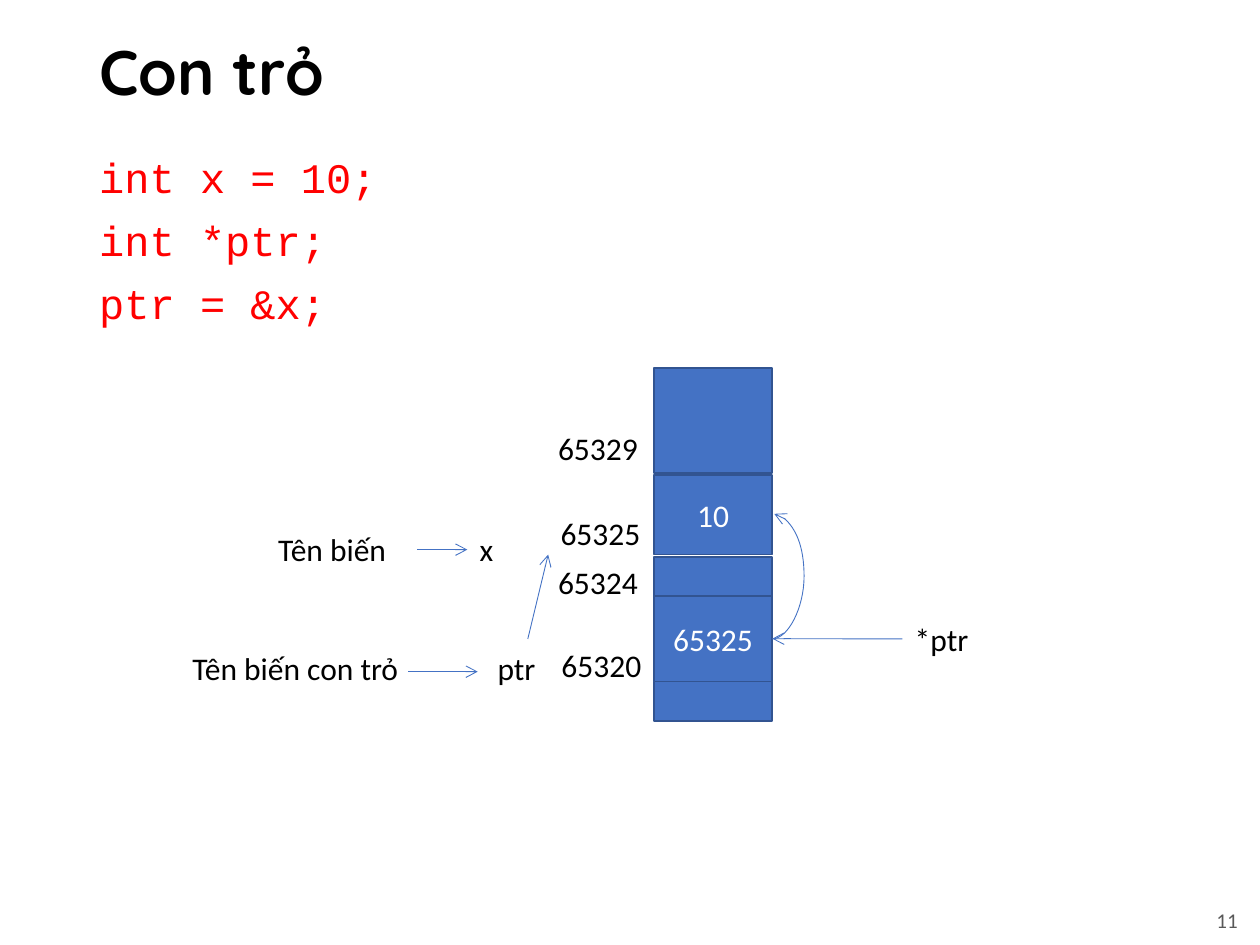
"""Build a slide on how a pointer holds the address of a variable."""
from dataclasses import dataclass

from lxml import etree
from pptx import Presentation
from pptx.dml.color import RGBColor
from pptx.enum import shapes as es, text as et
from pptx.oxml import ns
from pptx.util import Cm, Pt

BLACK = RGBColor(0x00, 0x00, 0x00)
WHITE = RGBColor(0xFF, 0xFF, 0xFF)
RED = RGBColor(0xFF, 0x00, 0x00)
GREY = RGBColor(0x59, 0x59, 0x59)
BLUE = RGBColor(0x44, 0x72, 0xC4)
NAVY = RGBColor(0x32, 0x54, 0x91)
LEFT, MIDDLE = et.PP_ALIGN.LEFT, et.MSO_ANCHOR.MIDDLE
STACK_X, STACK_W = 13.18, 2.39
LABEL_H = 1.02


@dataclass
class Style:
    """Look of a piece of text."""
    size: float = 18
    color: RGBColor = BLACK
    font: str = "Calibri"
    bold: bool = False
    align: et.PP_ALIGN = LEFT
    spacing: float = 1.0
    before: float = 0


@dataclass
class Cell:
    """One block of memory."""
    top: float
    height: float
    value: str = ""


@dataclass
class Label:
    """A short text beside the memory."""
    words: str
    left: float
    top: float
    width: float
    wrap: bool = False


@dataclass
class Arrow:
    """A line with its head at the end point."""
    start: tuple[float, float]
    end: tuple[float, float]
    kind: es.MSO_CONNECTOR = es.MSO_CONNECTOR.STRAIGHT


TITLE = Style(36, font="Quicksand", bold=True, spacing=0.9)
CODE = Style(24, RED, "Courier New", spacing=0.9, before=10)
PAGE = Style(12, GREY, align=et.PP_ALIGN.RIGHT)
VALUE = Style(color=WHITE, align=et.PP_ALIGN.CENTER)
CELLS = [
    Cell(7.42, 2.11),
    Cell(9.58, 1.6, "10"),
    Cell(11.23, 0.79),
    Cell(12.01, 1.73, "65325"),
    Cell(13.74, 0.79),
]
LABELS = [
    Label("65329", 11.0, 8.53, 2.13),
    Label("65325", 11.05, 10.24, 2.13),
    Label("65324", 11.0, 11.23, 2.13),
    Label("65320", 11.07, 12.9, 2.13),
    Label("x", 9.42, 10.57, 0.79),
    Label("Tên biến", 5.36, 10.57, 3.05, True),
    Label("*ptr", 18.19, 12.37, 1.98, True),
    Label("ptr", 9.78, 12.95, 1.6, True),
    Label("Tên biến con trỏ", 3.63, 12.95, 5.0, True),
]
NAME = Arrow((8.42, 11.1), (9.42, 11.1))
DEREF = Arrow((18.19, 12.88), (15.57, 12.88))
POINTER = Arrow((8.23, 13.54), (9.63, 13.54))
ADDRESS = Arrow((10.64, 12.88), (11.05, 11.18))
BEND = Arrow((15.57, 12.88), (15.61, 10.36), es.MSO_CONNECTOR.CURVE)
BULGE = 0.64


def write(frame, lines: list[str], style: Style) -> None:
    """Fill a text frame, one paragraph a line."""
    for i, line in enumerate(lines):
        para = frame.add_paragraph() if i else frame.paragraphs[0]
        para.alignment = style.align
        para.line_spacing = style.spacing
        para.space_before = Pt(style.before)
        run = para.add_run()
        run.text = line
        run.font.size = Pt(style.size)
        run.font.name = style.font
        run.font.bold = style.bold
        run.font.color.rgb = style.color


def add_text(slide, box: tuple, lines: list[str], style: Style,
             anchor=et.MSO_ANCHOR.TOP, wrap: bool = True):
    """Add a text box whose place is given in centimetres."""
    shape = slide.shapes.add_textbox(*map(Cm, box))
    shape.text_frame.word_wrap = wrap
    shape.text_frame.vertical_anchor = anchor
    write(shape.text_frame, lines, style)
    return shape


def add_label(slide, label: Label):
    """Add a label that grows with its text."""
    box = (label.left, label.top, label.width, LABEL_H)
    shape = add_text(slide, box, [label.words], Style(), wrap=label.wrap)
    shape.text_frame.auto_size = et.MSO_AUTO_SIZE.SHAPE_TO_FIT_TEXT
    return shape


def add_cell(slide, cell: Cell):
    """Add one memory block to the stack."""
    box = (STACK_X, cell.top, STACK_W, cell.height)
    shape = slide.shapes.add_shape(es.MSO_SHAPE.RECTANGLE, *map(Cm, box))
    shape.shadow.inherit = False
    shape.fill.solid()
    shape.fill.fore_color.rgb = BLUE
    shape.line.color.rgb = NAVY
    shape.line.width = Pt(1)
    if cell.value:
        shape.text_frame.vertical_anchor = MIDDLE
        write(shape.text_frame, [cell.value], VALUE)
    return shape


def add_arrow(slide, arrow: Arrow):
    """Add a thin line with an open head."""
    line = slide.shapes.add_connector(arrow.kind, *map(Cm, arrow.start + arrow.end))
    line.line.color.rgb = BLUE
    line.line.width = Pt(0.5)
    etree.SubElement(line.line._get_or_add_ln(), ns.qn("a:tailEnd"), type="arrow")
    etree.SubElement(line._element.spPr, ns.qn("a:effectLst"))
    return line


def bow(line, ratio: float) -> None:
    """Set how far a curve swings out, as a multiple of its width."""
    geom = line._element.spPr.find(ns.qn("a:prstGeom"))
    guides = geom.find(ns.qn("a:avLst"))
    if guides is None:
        guides = etree.SubElement(geom, ns.qn("a:avLst"))
    etree.SubElement(guides, ns.qn("a:gd"), name="adj1",
                     fmla=f"val {round(ratio * 100000)}")


def main() -> None:
    """Draw the slide and save it."""
    deck = Presentation()
    deck.slide_width, deck.slide_height = Cm(25.4), Cm(19.05)
    slide = deck.slides.add_slide(deck.slide_layouts[6])
    add_text(slide, (1.75, 0.41, 21.9, 2.21), ["Con trỏ"], TITLE, MIDDLE)
    code = ["int x = 10;", "int *ptr;", "ptr = &x;"]
    add_text(slide, (1.75, 3.05, 21.9, 13.84), code, CODE)
    add_text(slide, (22.02, 18.03, 3.18, 1.02), ["11"], PAGE, MIDDLE)
    cells = [add_cell(slide, cell) for cell in CELLS]
    labels = {label.words: add_label(slide, label) for label in LABELS}
    name = add_arrow(slide, NAME)
    name.begin_connect(labels["Tên biến"], 3)
    name.end_connect(labels["x"], 1)
    deref = add_arrow(slide, DEREF)
    deref.begin_connect(labels["*ptr"], 1)
    deref.end_connect(cells[3], 3)
    for arrow in (POINTER, ADDRESS):
        add_arrow(slide, arrow)
    bow(add_arrow(slide, BEND), BULGE / (BEND.end[0] - BEND.start[0]))
    deck.save("out.pptx")


if __name__ == "__main__":
    main()
